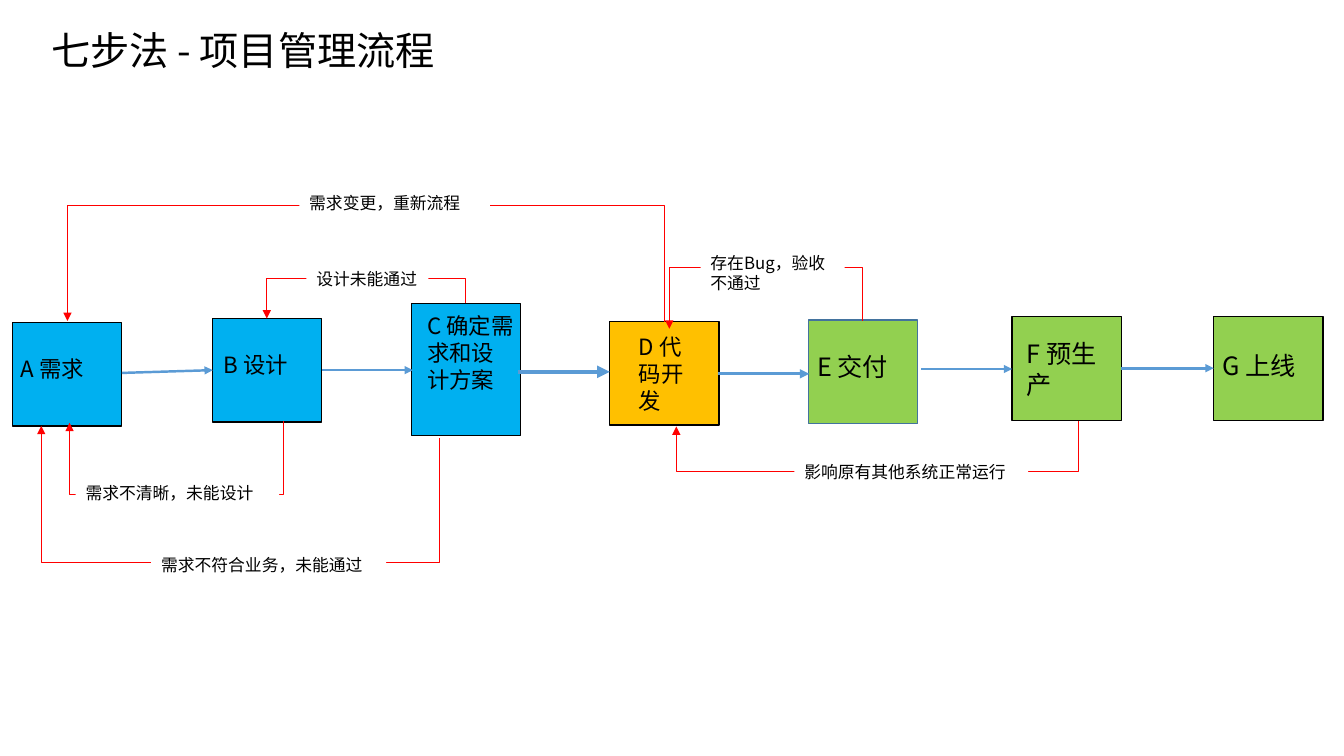
from lxml.etree import SubElement
from pptx import Presentation
from pptx.dml.color import RGBColor
from pptx.enum.shapes import MSO_CONNECTOR, MSO_SHAPE
from pptx.oxml.ns import qn
from pptx.util import Pt

FONT = "Noto Sans CJK SC"
BLUE, ORANGE, GREEN = "00B0F0", "FFC000", "92D050"
FLOW, RETURN = "5B9BD5", "FF0000"

deck = Presentation()
deck.slide_width, deck.slide_height = Pt(960), Pt(540)
slide = deck.slides.add_slide(deck.slide_layouts[6])
shapes = slide.shapes


def color(hex_code):
    return RGBColor.from_string(hex_code)


def write(text, left, top, width, height, size=12, fill=None):
    box = shapes.add_textbox(Pt(left), Pt(top), Pt(width), Pt(height))
    if fill:
        box.fill.solid()
        box.fill.fore_color.rgb = color(fill)
    box.text_frame.word_wrap = True
    run = box.text_frame.paragraphs[0].add_run()
    run.text = text
    run.font.size = Pt(size)
    run.font.color.rgb = color("000000")
    run.font.name = FONT
    east_asian = SubElement(run.font._element, qn("a:ea"))
    east_asian.set("typeface", FONT)


# Step boxes: left, top, height, fill, border
steps = [
    (8.8, 230.4, 74, BLUE, "000000"),
    (151.9, 227.5, 74, BLUE, "000000"),
    (293.8, 216.7, 94.5, BLUE, "000000"),
    (435.5, 229.7, 74, ORANGE, "000000"),
    (577.5, 228.7, 74, GREEN, "43739E"),
    (723, 226.2, 74, GREEN, "000000"),
    (867, 226.2, 74, GREEN, "000000"),
]
for left, top, height, fill, border in steps:
    step = shapes.add_shape(MSO_SHAPE.RECTANGLE, Pt(left), Pt(top), Pt(78), Pt(height))
    step.shadow.inherit = False
    step.fill.solid()
    step.fill.fore_color.rgb = color(fill)
    step.line.color.rgb = color(border)
    step.line.width = Pt(1)

arrows = []  # connector, colour, width

# Forward flow: start x, start y, end x, end y, width
forward = [
    (87, 266.4, 152, 264.4, 1.75),
    (230, 264.4, 295, 264.4, 1.75),
    (370.3, 265.6, 435.5, 265.6, 3),
    (512.8, 267, 578, 267, 2.25),
    (658, 263.6, 723, 263.6, 1.75),
    (800.8, 263, 867, 263, 2),
]
for x1, y1, x2, y2, width in forward:
    arrow = shapes.add_connector(MSO_CONNECTOR.STRAIGHT, Pt(x1), Pt(y1), Pt(x2), Pt(y2))
    arrows.append((arrow, FLOW, width))

# Return loops: start x, start y, end x, end y, y of the horizontal run
returns = [
    (202.6, 301, 49.7, 302, 353.8),
    (314.2, 312.7, 29.5, 304.2, 401.7),
    (332.6, 216.7, 190.6, 227.5, 198.7),
    (616.3, 229, 478.1, 234.8, 190.8),
    (770.4, 301, 483.1, 304.6, 337),
    (474.8, 230, 48.2, 229.3, 148),
]
for x1, y1, x2, y2, run_y in returns:
    # The elbow is laid out sideways around its centre, then turned upright.
    rise, span = abs(y2 - y1), x1 - x2
    left = (x1 + x2 - rise) / 2
    top = (y1 + y2 - span) / 2
    loop = shapes.add_connector(
        MSO_CONNECTOR.ELBOW, Pt(left), Pt(top), Pt(left + rise), Pt(top + span))
    above = run_y < y1
    frame = loop._element.spPr.find(qn("a:xfrm"))
    frame.set("rot", str((270 if above else 90) * 60000))
    frame.set("flipH", str(int((y2 > y1) == above)))
    frame.set("flipV", str(int(above)))
    bend = SubElement(loop._element.spPr.find(qn("a:prstGeom")).find(qn("a:avLst")), qn("a:gd"))
    bend.set("name", "adj1")
    bend.set("fmla", f"val {round((run_y - y1) / (y2 - y1) * 100000)}")
    arrows.append((loop, RETURN, 0.5))

for arrow, hue, width in arrows:
    arrow.line.color.rgb = color(hue)
    arrow.line.width = Pt(width)
    head = SubElement(arrow.line._get_or_add_ln(), qn("a:tailEnd"))
    head.set("type", "triangle")
    SubElement(arrow._element.spPr, qn("a:effectLst"))

step_names = [
    ("A 需求", 7.9, 249.8, 88.6, 26.6, 16),
    ("B 设计", 152.6, 247, 76.3, 26.6, 16),
    ("C 确定需求和设计方案", 298.1, 219.6, 76.3, 85, 16),
    ("D 代码开发", 449.3, 234.7, 57.6, 65.5, 16),
    ("E 交付", 576.7, 247.7, 78.5, 29, 18),
    ("F 预生产", 726.5, 238.3, 64.8, 51, 18),
    ("G 上线", 866.2, 247, 91.4, 29, 18),
]
for name, left, top, width, height, size in step_names:
    write(name, left, top, width, height, size=size)

reasons = [
    ("需求不清晰，未能设计", 54, 341.3, 145.4, 21.8),
    ("需求不符合业务，未能通过", 108, 392.4, 167.8, 21.8),
    ("设计未能通过", 218.9, 188.6, 87.1, 21.8),
    ("需求变更，重新流程", 213.8, 133.9, 136.1, 21.8),
    ("存在Bug，验收不通过", 500.4, 177.1, 103, 36.3),
    ("影响原有其他系统正常运行", 567.4, 326.2, 167, 21.8),
]
for reason, left, top, width, height in reasons:
    write(reason, left, top, width, height, fill="FFFFFF")

write("七步法 - 项目管理流程", 29.5, 15.1, 471.6, 41, size=28)

deck.save("out.pptx")
